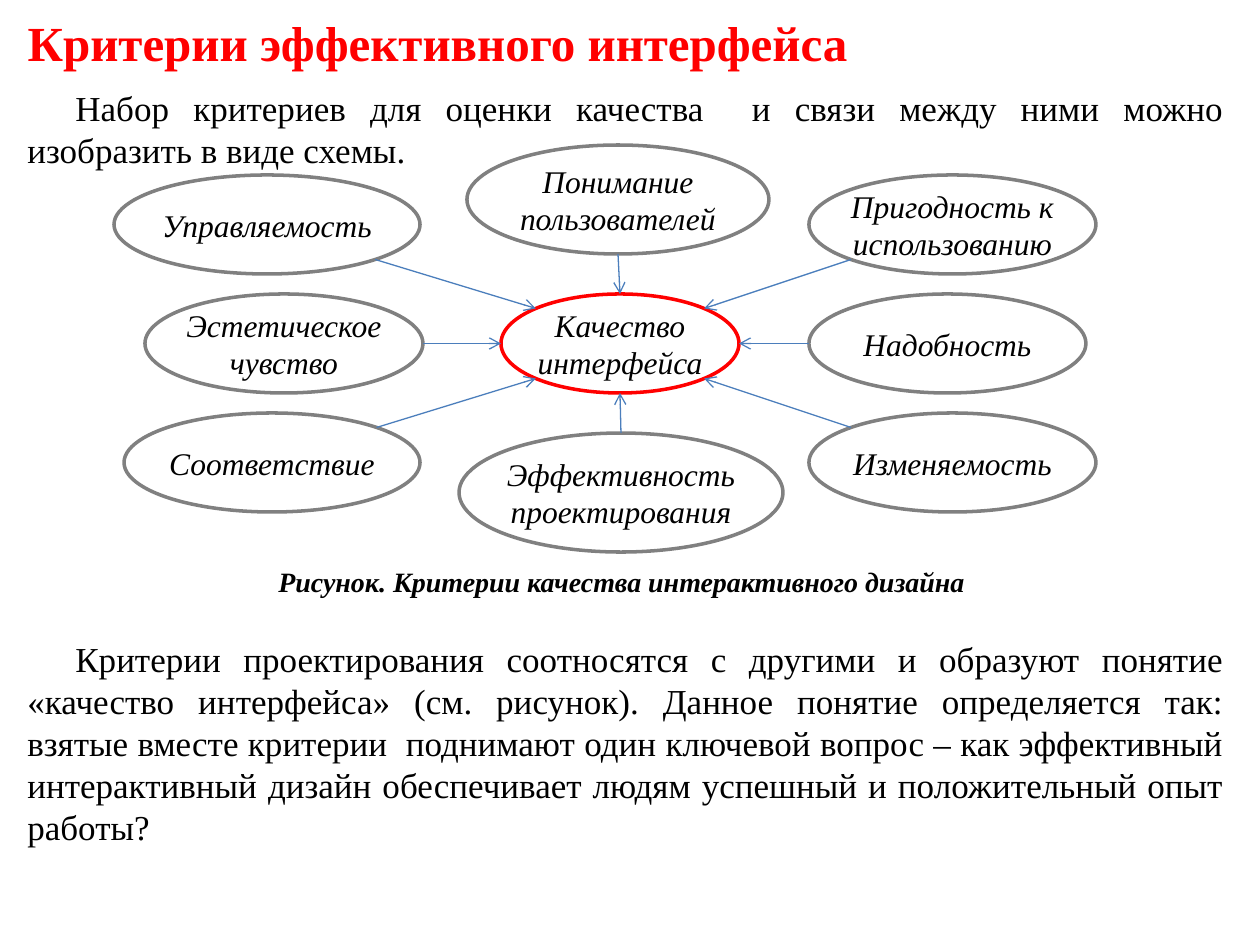
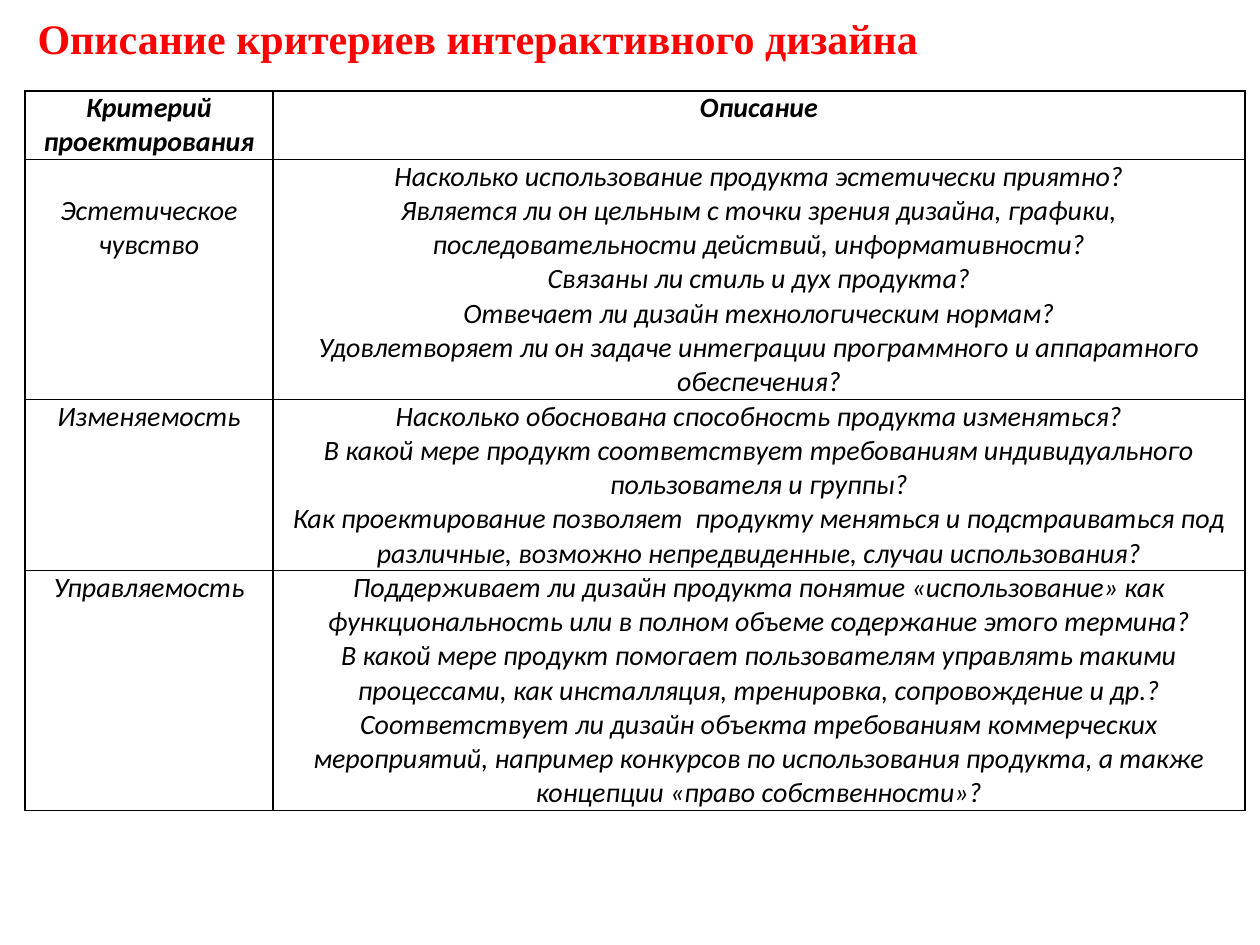
from lxml import etree
from pptx import Presentation
from pptx import util as u
from pptx.dml.color import RGBColor
from pptx.enum import shapes, text
from pptx.oxml.ns import qn

PX = 914400 / 126
COLORS = {"accent": "FF0000", "ink": "000000", "oval": "808080", "arrow": "4B7EBC"}
SERIF, SANS = "Times New Roman", "Calibri"
ALIGN = text.PP_ALIGN

CRITERIA_TITLE = "Критерии эффективного интерфейса"
INTRO = "Набор критериев для оценки качества  и связи между ними можно изобразить в виде схемы."
CAPTION = "Рисунок. Критерии качества интерактивного дизайна"
CONCLUSION = (
    "Критерии проектирования соотносятся с другими и образуют понятие «качество интерфейса» "
    "(см. рисунок). Данное понятие определяется так: взятые вместе критерии  поднимают один "
    "ключевой вопрос – как эффективный интерактивный дизайн обеспечивает людям успешный и "
    "положительный опыт работы?"
)

ROW_TOPS = {-1: 175, 0: 294, 1: 413}
OVAL_H = 99
QUALITY = ("Качество интерфейса", (501, 294, 238, OVAL_H))
# Side criteria: label, left, width, direction from the quality oval
SIDE_CRITERIA = [
    ("Управляемость", 114, 306, (-1, -1)),
    ("Эстетическое чувство", 145, 278, (-1, 0)),
    ("Соответствие", 124, 296, (-1, 1)),
    ("Пригодность к использованию", 809, 287, (1, -1)),
    ("Надобность", 809, 277, (1, 0)),
    ("Изменяемость", 809, 287, (1, 1)),
]
CRITERIA = [(label, (x, ROW_TOPS[way[1]], w, OVAL_H), way)
            for label, x, w, way in SIDE_CRITERIA] + [
    ("Понимание пользователей", (467, 145, 302, 109), (0, -1)),
    ("Эффективность проектирования", (459, 433, 324, 119), (0, 1)),
]

TABLE_TITLE = "Описание критериев интерактивного дизайна"
COLUMN_WIDTHS = [248, 972]
LINE_H = 34
# Height, criterion, description paragraphs
TABLE_ROWS = [
    (68, "Критерий проектирования", ["Описание"]),
    (240, "Эстетическое чувство", [
        "Насколько использование продукта эстетически приятно?",
        "Является ли он цельным с точки зрения дизайна, графики, последовательности действий, "
        "информативности?",
        "Связаны ли стиль и дух продукта?",
        "Отвечает ли дизайн технологическим нормам?",
        "Удовлетворяет ли он задаче интеграции программного и аппаратного обеспечения?",
    ]),
    (171, "Изменяемость", [
        "Насколько обоснована способность продукта изменяться?",
        "В какой мере продукт соответствует требованиям индивидуального пользователя и группы?",
        "Как проектирование позволяет  продукту меняться и подстраиваться под различные, "
        "возможно непредвиденные, случаи использования?",
    ]),
    (240, "Управляемость", [
        "Поддерживает ли дизайн продукта понятие «использование» как функциональность или "
        "в полном объеме содержание этого термина?",
        "В какой мере продукт помогает пользователям управлять такими процессами, как "
        "инсталляция, тренировка, сопровождение и др.?",
        "Соответствует ли дизайн объекта требованиям коммерческих мероприятий, например "
        "конкурсов по использования продукта, а также концепции «право собственности»?",
    ]),
]


def px(*values):
    return [u.Emu(round(v * PX)) for v in values]


def rgb(name):
    return RGBColor.from_string(COLORS[name])


def write(tf, content, size, font=SERIF, color="ink", align=ALIGN.LEFT, bold=False, italic=False):
    tf.text = content
    for p in tf.paragraphs:
        p.alignment = align
        for r in p.runs:
            r.font.size, r.font.name = u.Pt(size), font
            r.font.bold, r.font.italic = bold, italic
            r.font.color.rgb = rgb(color)


def clear_margins(frame):
    frame.margin_left = frame.margin_right = frame.margin_top = frame.margin_bottom = 0


def add_titled_slide(prs, title, box, size):
    s = prs.slides.add_slide(prs.slide_layouts[5])
    sp = s.shapes.title
    sp.left, sp.top, sp.width, sp.height = px(*box)
    tf = sp.text_frame
    write(tf, title, size, color="accent", bold=True)
    tf.vertical_anchor = text.MSO_ANCHOR.TOP
    tf.auto_size = text.MSO_AUTO_SIZE.NONE
    tf.word_wrap = False
    return s


def add_body(s, content, box):
    """Add a justified paragraph with an indented first line."""
    tf = s.shapes.add_textbox(*px(*box)).text_frame
    tf.word_wrap = True
    write(tf, content, 20, align=ALIGN.JUSTIFY)
    tf.paragraphs[0]._p.get_or_add_pPr().set("indent", str(px(48)[0]))


def add_oval(s, label, box, line):
    sp = s.shapes.add_shape(shapes.MSO_SHAPE.OVAL, *px(*box))
    sp.shadow.inherit = False
    sp.fill.background()
    sp.line.color.rgb, sp.line.width = rgb(line), u.Pt(2)
    tf = sp.text_frame
    tf.word_wrap = True
    tf.vertical_anchor = text.MSO_ANCHOR.MIDDLE
    clear_margins(tf)
    write(tf, label, 18, align=ALIGN.CENTER, italic=True)
    return sp


def rim_point(box, dx, dy):
    """Return the point of the oval's rim that lies in direction dx, dy."""
    x, y, w, h = box
    reach = 0.5 / (dx * dx + dy * dy) ** 0.5
    return x + w * (0.5 + dx * reach), y + h * (0.5 + dy * reach)


def add_arrow(s, start, end):
    cxn = s.shapes.add_connector(shapes.MSO_CONNECTOR.STRAIGHT, *px(*start, *end))
    cxn.line.color.rgb, cxn.line.width = rgb("arrow"), u.Pt(0.75)
    etree.SubElement(cxn.line._get_or_add_ln(), qn("a:tailEnd"), type="arrow")
    etree.SubElement(cxn._element.spPr, qn("a:effectLst"))
    return cxn


def add_borders(cell):
    tc_pr = cell._tc.get_or_add_tcPr()
    for i, side in enumerate(("lnL", "lnR", "lnT", "lnB")):
        ln = etree.Element(qn(f"a:{side}"), w=str(u.Pt(1)))
        fill = etree.SubElement(ln, qn("a:solidFill"))
        etree.SubElement(fill, qn("a:srgbClr"), val=COLORS["ink"])
        tc_pr.insert(i, ln)


def build_scheme(prs):
    s = add_titled_slide(prs, CRITERIA_TITLE, (15, 6, 854, 72), 28)
    add_body(s, INTRO, (15, 80, 1221, 97))
    quality_label, quality_box = QUALITY
    quality = add_oval(s, quality_label, quality_box, "accent")
    for label, box, (dx, dy) in CRITERIA:
        oval = add_oval(s, label, box, "oval")
        arrow = add_arrow(s, rim_point(box, -dx, -dy), rim_point(quality_box, dx, dy))
        if (dx, dy) == (0, -1):
            arrow.end_connect(quality, 0)
        elif (dx, dy) == (0, 1):
            arrow.begin_connect(oval, 0)
    tf = s.shapes.add_textbox(*px(266, 558, 721, 47)).text_frame
    tf.word_wrap = False
    write(tf, CAPTION, 16, bold=True, italic=True)
    add_body(s, CONCLUSION, (15, 631, 1221, 224))


def build_table(prs):
    s = add_titled_slide(prs, TABLE_TITLE, (25, 6, 915, 63), 24)
    height = sum(row[0] for row in TABLE_ROWS)
    box = px(25, 91, sum(COLUMN_WIDTHS), height)
    table = s.shapes.add_table(len(TABLE_ROWS), len(COLUMN_WIDTHS), *box).table
    table.horz_banding = False
    for column, width in zip(table.columns, px(*COLUMN_WIDTHS)):
        column.width = width
    for i, (row_h, criterion, description) in enumerate(TABLE_ROWS):
        table.rows[i].height = px(row_h)[0]
        for cell, content in zip(table.rows[i].cells, (criterion, "\n".join(description))):
            clear_margins(cell)
            cell.fill.background()
            add_borders(cell)
            write(cell.text_frame, content, 16, SANS, align=ALIGN.CENTER, bold=i == 0, italic=True)
    table.cell(1, 0).margin_top = px(LINE_H)[0]


def main():
    prs = Presentation()
    prs.slide_width, prs.slide_height = px(1260, 945)
    build_scheme(prs)
    build_table(prs)
    prs.save("out.pptx")


if __name__ == "__main__":
    main()
